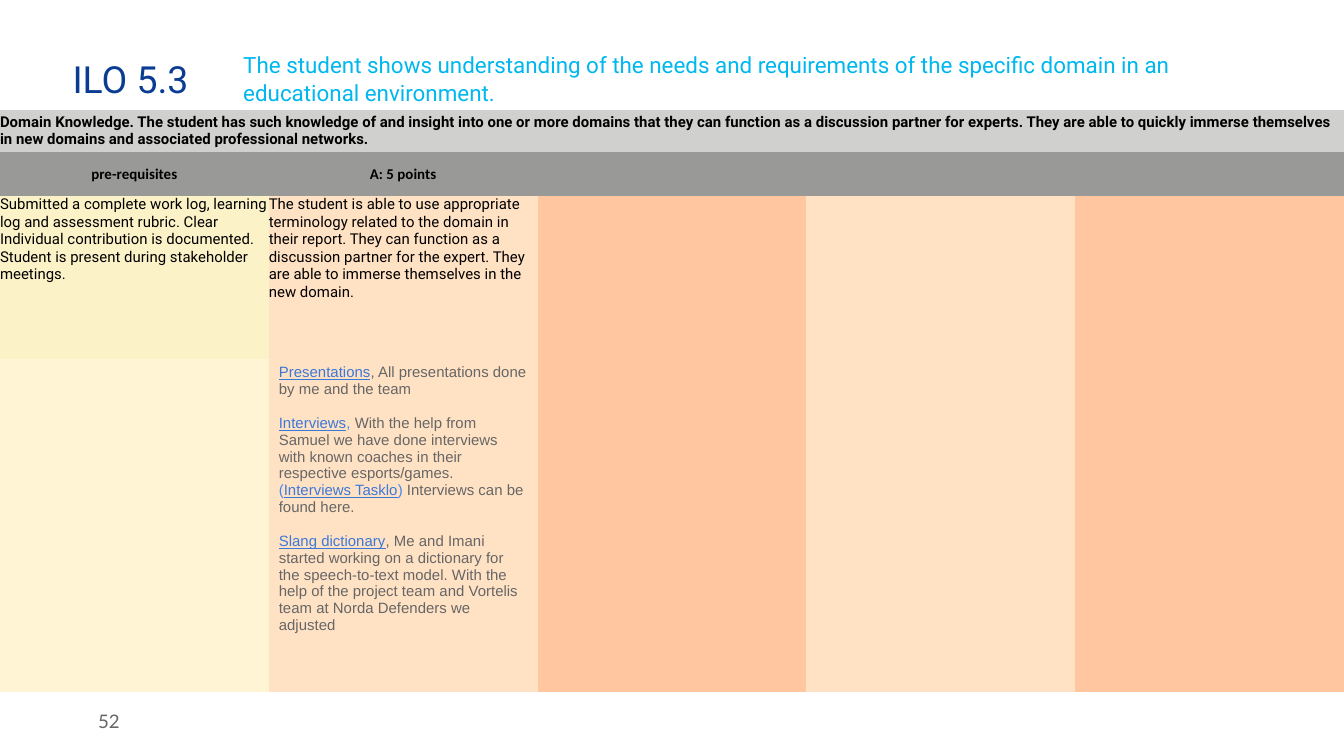
from pptx import Presentation
from pptx.dml.color import RGBColor
from pptx.enum.text import MSO_ANCHOR, MSO_AUTO_SIZE, PP_ALIGN
from pptx.util import Inches, Pt

LEFT, CENTER, RIGHT = PP_ALIGN.LEFT, PP_ALIGN.CENTER, PP_ALIGN.RIGHT
TOP, MIDDLE = MSO_ANCHOR.TOP, MSO_ANCHOR.MIDDLE
NO_AUTOFIT = MSO_AUTO_SIZE.NONE
PLAIN_TABLE_STYLE = "{2D5ABB26-0587-4C30-8999-92F81FD0307C}"

THEME = {
    # text styles
    "title": {"name": "Roboto", "size": Pt(20), "color": "093C92"},
    "outcome": {"name": "Roboto", "size": Pt(12), "color": "00B7EE"},
    "number": {"name": "Lato", "size": Pt(10), "color": "666666"},
    "domain": {"name": "Roboto", "size": Pt(8), "bold": True, "color": "000000"},
    "heading": {"name": "Calibri", "size": Pt(8), "bold": True, "color": "000000"},
    "criterion": {"name": "Roboto", "size": Pt(8), "color": "000000"},
    "evidence": {"name": "Arial", "size": Pt(8), "color": "666666"},
    "accent": {"name": "Arial", "size": Pt(8), "color": "4285F4"},
    "link": {"name": "Arial", "size": Pt(8), "underline": True, "color": "3C78D8"},
    # cell fills, one list per table row
    "fills": [
        ["D0D0CE"] * 5,
        ["999997"] * 5,
        ["FCF2C8"] + ["FFE1C4", "FFC6A0"] * 2,
        ["FFF4D4"] + ["FFE1C4", "FFC6A0"] * 2,
    ],
}

deck = Presentation()
deck.slide_width = Inches(10)
deck.slide_height = deck.slide_width * 9 // 16
slide = deck.slides.add_slide(deck.slide_layouts[5])


def percent_frame(left, top, width, height):
    """Turn percentages of the slide's width and height into lengths."""
    across, down = deck.slide_width / 100, deck.slide_height / 100
    return [int(left * across), int(top * down), int(width * across), int(height * down)]


def write_para(para, spans, align=LEFT):
    """Fill a paragraph with (text, theme style) spans."""
    para.alignment = align
    for text, style in spans:
        span = para.add_run()
        span.text = text
        for name, value in THEME[style].items():
            if name == "color":
                span.font.color.rgb = RGBColor.from_string(value)
            else:
                setattr(span.font, name, value)


# Title, outcome and slide number
text_boxes = [
    (slide.shapes.title, (4.4, 5.95, 10.9, 8.9), "ILO 5.3", "title", LEFT,
     {"vertical_anchor": MIDDLE}),
    (slide.shapes.add_textbox(0, 0, 0, 0), (15.3, 4.8, 72.9, 7.82),
     "The student shows understanding of the needs and requirements of the "
     "specific domain in an educational environment.", "outcome", LEFT,
     {"vertical_anchor": TOP, "margin_left": Inches(0.28)}),
    (slide.shapes.add_textbox(0, 0, 0, 0), (4.9, 92.7, 5, 5.33), "52", "number", RIGHT,
     {"vertical_anchor": MIDDLE}),
]
margins = dict.fromkeys(
    ["margin_left", "margin_top", "margin_right", "margin_bottom"], Inches(0.1))
for box, frame, text, style, align, settings in text_boxes:
    box.left, box.top, box.width, box.height = percent_frame(*frame)
    text_frame = box.text_frame
    formats = {"word_wrap": True, "auto_size": NO_AUTOFIT, **margins, **settings}
    for name, value in formats.items():
        setattr(text_frame, name, value)
    para = text_frame.paragraphs[0]
    write_para(para, [(text, style)], align)
    para.line_spacing = 1.04 if style == "outcome" else 1.0

# Rubric table: five equal columns, row heights in percent of the slide
row_shares = [5.55, 5.85, 21.5, 44.1]
table_frame = percent_frame(0, 14.55, 100, sum(row_shares))
rubric = slide.shapes.add_table(len(row_shares), 5, *table_frame).table
rubric.first_row = rubric.horz_banding = False
rubric._tbl.tblPr[0].text = PLAIN_TABLE_STYLE
for row, share in zip(rubric.rows, row_shares):
    row.height = int(deck.slide_height * share / 100)
for column in rubric.columns:
    column.width = deck.slide_width // 5

for row, fills in enumerate(THEME["fills"]):
    for column, fill in enumerate(fills):
        cell = rubric.cell(row, column)
        cell.fill.solid()
        cell.fill.fore_color.rgb = RGBColor.from_string(fill)
        cell.vertical_anchor = MIDDLE if row < 2 else TOP
        for margin in margins:
            setattr(cell, margin, 0)
rubric.cell(0, 0).merge(rubric.cell(0, 4))

cell_texts = [
    (0, 0, "domain", LEFT,
     "Domain Knowledge. The student has such knowledge of and insight into one or more "
     "domains that they can function as a discussion partner for experts. They are able "
     "to quickly immerse themselves in new domains and associated professional networks."),
    (1, 0, "heading", CENTER, "pre-requisites"),
    (1, 1, "heading", CENTER, "A: 5 points"),
    (2, 0, "criterion", LEFT,
     "Submitted a complete work log, learning log and assessment rubric. Clear Individual "
     "contribution is documented. Student is present during stakeholder meetings."),
    (2, 1, "criterion", LEFT,
     "The student is able to use appropriate terminology related to the domain in their "
     "report. They can function as a discussion partner for the expert. They are able to "
     "immerse themselves in the new domain."),
]
for row, column, style, align, text in cell_texts:
    write_para(rubric.cell(row, column).text_frame.paragraphs[0], [(text, style)], align)

# Evidence: space before in points, then the spans
evidence = [
    (0, [("Presentations", "link"),
         (", All presentations done by me and the team", "evidence")]),
    (9.2, [("Interviews", "link"), (", ", "accent"),
           ("With the help from Samuel we have done interviews with known coaches in their "
            "respective esports/games.", "evidence")]),
    (0, [("(", "accent"), ("Interviews Tasklo", "link"), (") ", "accent"),
         ("Interviews can be found here.", "evidence")]),
    (9.2, [("Slang dictionary", "link"),
           (", Me and Imani started working on a dictionary for the speech-to-text model. "
            "With the help of the project team and Vortelis team at Norda Defenders we "
            "adjusted", "evidence")]),
]
evidence_cell = rubric.cell(3, 1)
evidence_cell.margin_left = evidence_cell.margin_right = Pt(5.4)
evidence_cell.margin_top = evidence_cell.margin_bottom = Inches(0.04)
for index, (gap, spans) in enumerate(evidence):
    text_frame = evidence_cell.text_frame
    para = text_frame.add_paragraph() if index else text_frame.paragraphs[0]
    para.space_before = Pt(gap)
    write_para(para, spans)

deck.save("out.pptx")
